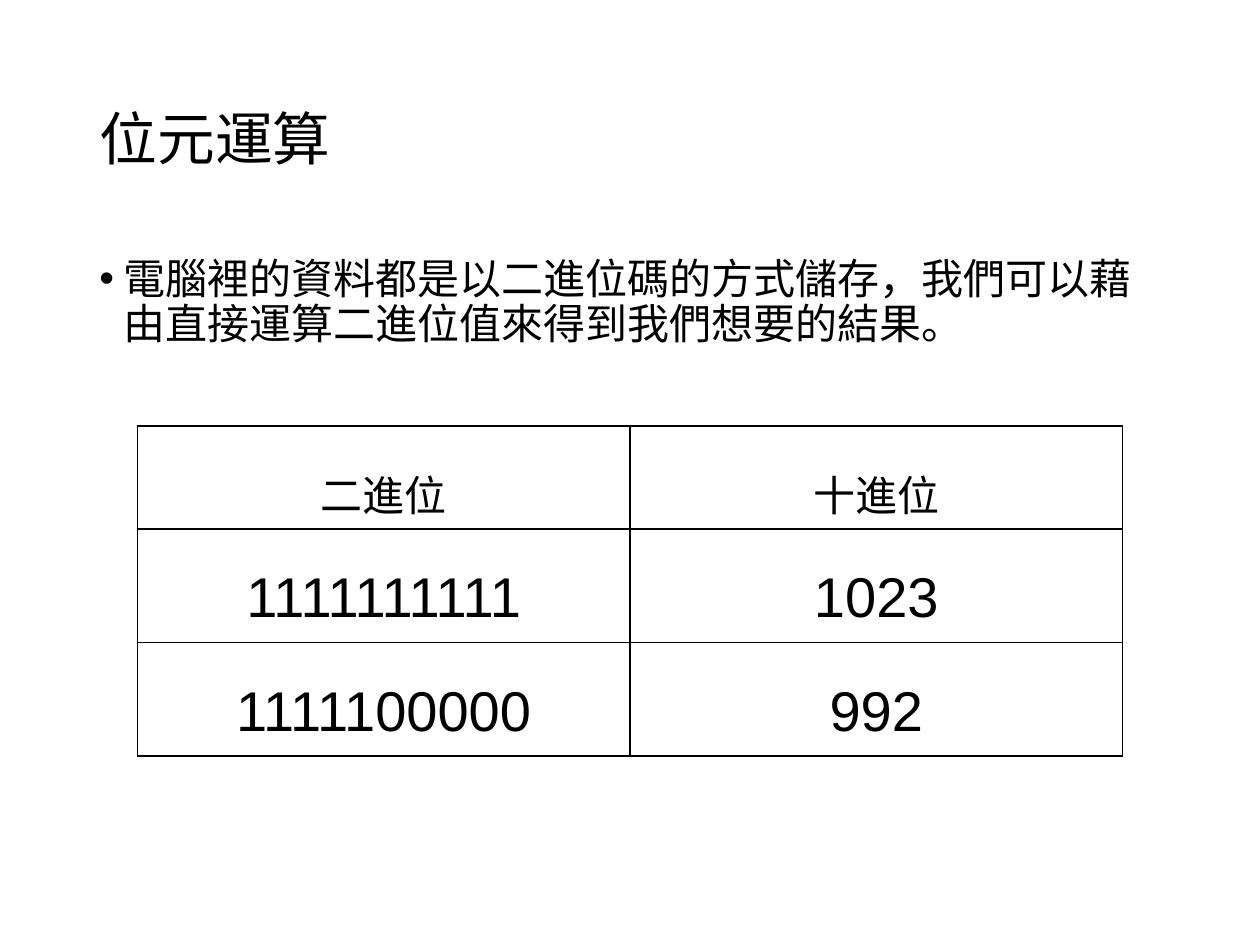
from dataclasses import dataclass

from lxml import etree
from pptx import Presentation
from pptx.dml.color import RGBColor
from pptx.enum.text import MSO_ANCHOR, PP_ALIGN
from pptx.oxml.ns import qn
from pptx.util import Inches, Pt

CENTER, LEFT = PP_ALIGN.CENTER, PP_ALIGN.LEFT
TOP, MIDDLE = MSO_ANCHOR.TOP, MSO_ANCHOR.MIDDLE
TITLE_ONLY = 5
FONT = "Arial"
COLORS = {"background": "FFFFFF", "text": "000000", "border": "000000"}
MARGIN, CONTENT_WIDTH = 0.69, 8.62
BULLET_INDENT = 0.19
ROW_HEIGHT, COLUMN_WIDTH = 0.82, 3.91


@dataclass
class NumberRow:
    binary: str
    decimal: str
    size: int


NUMBER_ROWS = [
    NumberRow("二進位", "十進位", 24),
    NumberRow("1111111111", "1023", 32),
    NumberRow("1111100000", "992", 32),
]


def write(frame, text: str, size: float, align=LEFT, line_spacing: float = 0.9):
    paragraph = frame.paragraphs[0]
    paragraph.alignment = align
    paragraph.line_spacing = line_spacing
    run = paragraph.add_run()
    run.text = text
    run.font.name = FONT
    run.font.size = Pt(size)
    run.font.bold = False
    run.font.color.rgb = RGBColor.from_string(COLORS["text"])
    return paragraph


def add_bullet(paragraph) -> None:
    properties = paragraph._p.get_or_add_pPr()
    properties.set("marL", str(Inches(BULLET_INDENT)))
    properties.set("indent", str(-Inches(BULLET_INDENT)))
    etree.SubElement(properties, qn("a:buFont")).set("typeface", FONT)
    etree.SubElement(properties, qn("a:buChar")).set("char", "•")


def add_borders(cell) -> None:
    properties = cell._tc.get_or_add_tcPr()
    for side in ("a:lnL", "a:lnR", "a:lnT", "a:lnB"):
        line = etree.SubElement(properties, qn(side), w=str(Pt(1)))
        fill = etree.SubElement(line, qn("a:solidFill"))
        etree.SubElement(fill, qn("a:srgbClr"), val=COLORS["border"])


def add_title(slide, text: str) -> None:
    title = slide.shapes.title
    title.left, title.top = Inches(MARGIN), Inches(0.4)
    title.width, title.height = Inches(CONTENT_WIDTH), Inches(1.45)
    title.text_frame.vertical_anchor = MIDDLE
    write(title.text_frame, text, 33)


def add_explanation(slide, text: str) -> None:
    explanation = slide.shapes.add_textbox(
        Inches(MARGIN), Inches(2), Inches(CONTENT_WIDTH), Inches(4.76))
    frame = explanation.text_frame
    frame.word_wrap = True
    frame.vertical_anchor = TOP
    paragraph = write(frame, text, 24)
    paragraph.space_before = Pt(7.5)
    add_bullet(paragraph)


def add_number_table(slide, rows: list[NumberRow]) -> None:
    table = slide.shapes.add_table(
        len(rows), 2, Inches(1.09), Inches(3.38),
        Inches(2 * COLUMN_WIDTH), Inches(len(rows) * ROW_HEIGHT)).table
    table.first_row = table.horz_banding = False
    for row_index, row in enumerate(rows):
        for column_index, value in enumerate((row.binary, row.decimal)):
            cell = table.cell(row_index, column_index)
            add_borders(cell)
            cell.fill.background()
            write(cell.text_frame, value, row.size, CENTER, 1.5)


def main() -> None:
    presentation = Presentation()
    presentation.slide_width, presentation.slide_height = Inches(10), Inches(7.5)
    slide = presentation.slides.add_slide(presentation.slide_layouts[TITLE_ONLY])
    background = slide.background.fill
    background.solid()
    background.fore_color.rgb = RGBColor.from_string(COLORS["background"])

    add_title(slide, "位元運算")
    add_explanation(
        slide, "電腦裡的資料都是以二進位碼的方式儲存，我們可以藉由直接運算二進位值來得到我們想要的結果。")
    add_number_table(slide, NUMBER_ROWS)
    presentation.save("out.pptx")


if __name__ == "__main__":
    main()
